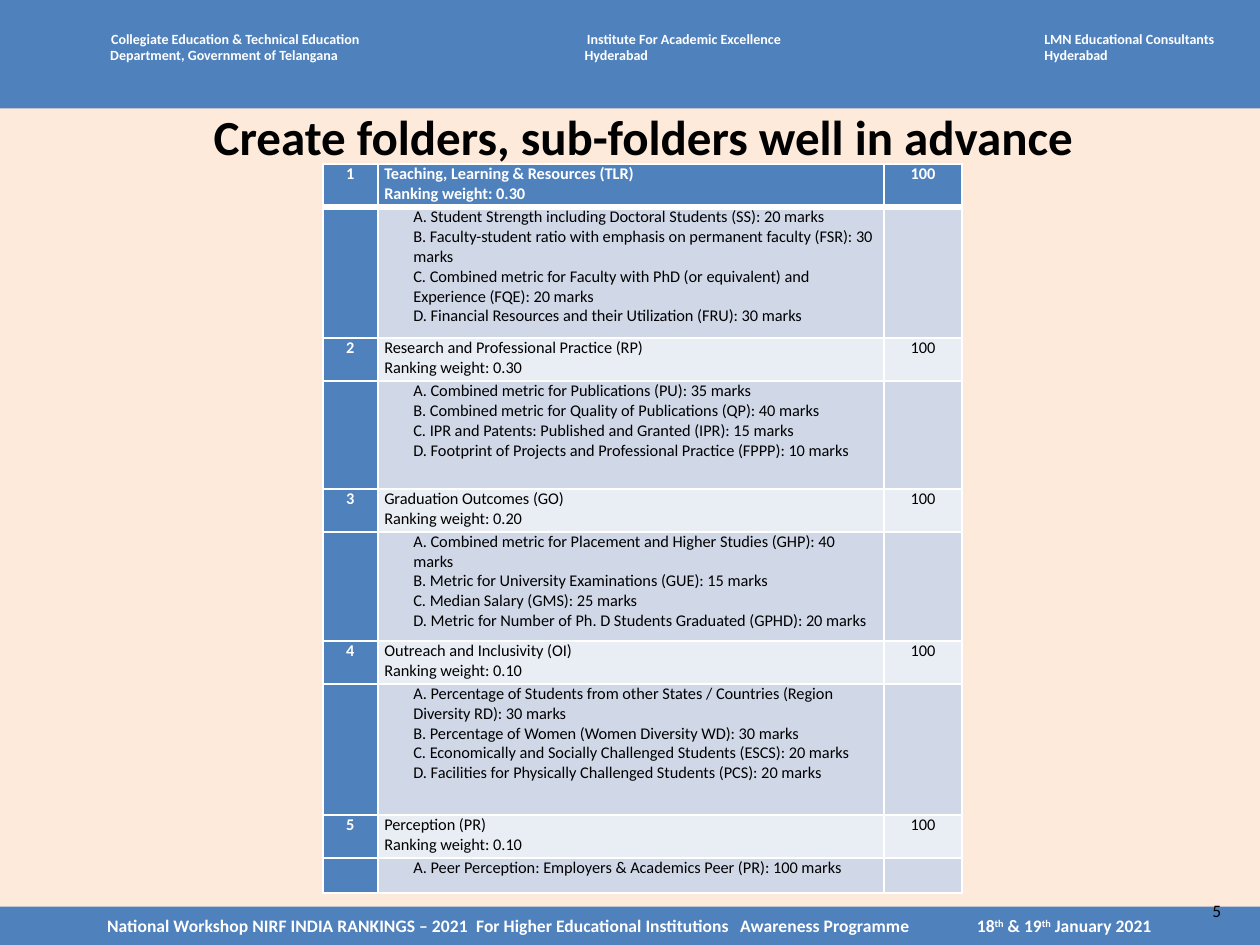
import pptx
import pptx.util
import pptx.dml.color
import pptx.enum.shapes
import pptx.enum.text
import lxml.etree

Cm, Pt = pptx.util.Cm, pptx.util.Pt
ALIGN = pptx.enum.text.PP_ALIGN
ANCHOR = pptx.enum.text.MSO_ANCHOR
BLUE, WHITE, BLACK = "4F81BD", "FFFFFF", "000000"
CREAM, PALE, MIST = "FDEADA", "E9EDF4", "D0D8E8"
DRAWING = "http://schemas.openxmlformats.org/drawingml/2006/main"

SECTIONS = [
    ("Teaching, Learning & Resources (TLR)", "0.30", 1.98, [
        "A. Student Strength including Doctoral Students (SS): 20 marks",
        "B. Faculty-student ratio with emphasis on permanent faculty (FSR): 30 marks",
        "C. Combined metric for Faculty with PhD (or equivalent) and Experience (FQE): 20 marks",
        "D. Financial Resources and their Utilization (FRU): 30 marks"]),
    ("Research and Professional Practice (RP)", "0.30", 1.63, [
        "A. Combined metric for Publications (PU): 35 marks",
        "B. Combined metric for Quality of Publications (QP): 40 marks",
        "C. IPR and Patents: Published and Granted (IPR): 15 marks",
        "D. Footprint of Projects and Professional Practice (FPPP): 10 marks"]),
    ("Graduation Outcomes (GO)", "0.20", 1.65, [
        "A. Combined metric for Placement and Higher Studies (GHP): 40 marks",
        "B. Metric for University Examinations (GUE): 15 marks",
        "C. Median Salary (GMS): 25 marks",
        "D. Metric for Number of Ph. D Students Graduated (GPHD): 20 marks"]),
    ("Outreach and Inclusivity (OI)", "0.10", 1.98, [
        "A. Percentage of Students from other States / Countries (Region Diversity RD): 30 marks",
        "B. Percentage of Women (Women Diversity WD): 30 marks",
        "C. Economically and Socially Challenged Students (ESCS): 20 marks",
        "D. Facilities for Physically Challenged Students (PCS): 20 marks"]),
    ("Perception (PR)", "0.10", 0.53, [
        "A. Peer Perception: Employers & Academics Peer (PR): 100 marks"]),
]


def color(value):
    """Turn a hex string into a colour."""
    return pptx.dml.color.RGBColor.from_string(value)


def paint(target, value):
    """Fill a shape, cell or background with one colour."""
    target.fill.solid()
    target.fill.fore_color.rgb = color(value)


def element(parent, name, **attributes):
    """Append a drawing element to a parent."""
    return lxml.etree.SubElement(parent, f"{{{DRAWING}}}{name}", attributes)


def style(para, size, value, bold=False, align=ALIGN.LEFT):
    """Set the font and alignment of a paragraph."""
    para.alignment = align
    para.font.name = "Calibri"
    para.font.size = Pt(size)
    para.font.bold = bold
    para.font.color.rgb = color(value)


def add_bar(slide, left, top, width, height):
    """Draw a plain blue bar."""
    bar = slide.shapes.add_shape(
        pptx.enum.shapes.MSO_SHAPE.RECTANGLE, Cm(left), Cm(top), Cm(width), Cm(height))
    bar.shadow.inherit = False
    paint(bar, BLUE)
    bar.line.fill.background()
    return bar


def add_text(slide, left, top, width, height, lines, size, value, bold=False,
             aligns=(ALIGN.LEFT, ALIGN.LEFT), wrap=True):
    """Place a text box with one paragraph per line."""
    box = slide.shapes.add_textbox(Cm(left), Cm(top), Cm(width), Cm(height))
    frame = box.text_frame
    frame.word_wrap = wrap
    frame.text = "\n".join(lines)
    for para, align in zip(frame.paragraphs, aligns):
        style(para, size, value, bold, align)
    return box


def add_header(slide, left, top, width, height):
    """Draw the top bar with its three organisers."""
    add_bar(slide, left, top, width, height)
    organisers = [
        (1.37, 4.42, "Collegiate Education & Technical Education ",
         " Department, Government of Telangana", ALIGN.CENTER, False),
        (8.59, 3.5, "Institute For Academic Excellence", "Hyderabad", ALIGN.CENTER, False),
        (15.54, 3.18, "LMN Educational Consultants", "Hyderabad", ALIGN.LEFT, True),
    ]
    for offset, span, name, place, align, wrap in organisers:
        add_text(slide, left + offset, top + 0.33, span, 0.77, [name, place], 6, WHITE,
                 True, (align, ALIGN.LEFT), wrap)


def add_footer(slide, left, top, width, height):
    """Draw the bottom bar with the event, its dates and the page number."""
    bar = add_bar(slide, left, top, width, height)
    frame = bar.text_frame
    frame.word_wrap = True
    frame.vertical_anchor = ANCHOR.MIDDLE
    frame.margin_left = Cm(1.62)
    frame.margin_right = frame.margin_top = frame.margin_bottom = 0
    para = frame.paragraphs[0]
    event = ("National Workshop NIRF INDIA RANKINGS – 2021\tFor Higher Educational Institutions"
             "\tAwareness Programme\t18")
    for text, raised in [(event, False), ("th", True), (" & 19", False), ("th", True),
                         (" January 2021", False)]:
        span = para.add_run()
        span.text = text
        if raised:
            span._r.get_or_add_rPr().set("baseline", "30000")
    properties = para._p.get_or_add_pPr()
    stops = element(properties, "tabLst")
    for position in (5.58, 9.57, 13.15):
        element(stops, "tab", pos=str(Cm(position)), algn="l")
    style(para, 7.5, WHITE, True)
    add_text(slide, left + 18.08, top - 0.23, 0.97, 0.58, ["5"], 7.5, BLACK)


def fill_cell(cell, lines, fill, value, bold, align, indent, bottom):
    """Write, colour and border one table cell."""
    properties = cell._tc.get_or_add_tcPr()
    for side, weight in (("lnL", 1), ("lnR", 1), ("lnT", 1), ("lnB", bottom)):
        edge = element(properties, side, w=str(Pt(weight)))
        element(element(edge, "solidFill"), "srgbClr", val=WHITE)
    paint(cell, fill)
    cell.margin_left = cell.margin_right = Cm(0.1)
    cell.margin_top = cell.margin_bottom = 0
    cell.text_frame.text = "\n".join(lines)
    for para in cell.text_frame.paragraphs:
        style(para, 7, value, bold, align)
        if indent:
            para._p.get_or_add_pPr().set("marL", str(Cm(indent)))
        if not lines:
            element(para._p, "endParaRPr", sz="700")


def add_criteria(slide, left, top, widths, heading_height):
    """Build the ranking table, a heading row and a detail row per section."""
    heights = [h for section in SECTIONS for h in (heading_height, section[2])]
    table = slide.shapes.add_table(
        len(heights), len(widths), Cm(left), Cm(top), Cm(sum(widths)), Cm(sum(heights))).table
    table.first_row = table.horz_banding = False
    for column, width in zip(table.columns, widths):
        column.width = Cm(width)
    for row, height in zip(table.rows, heights):
        row.height = Cm(height)
    for index, (name, weight, _, details) in enumerate(SECTIONS):
        first = index == 0
        heading = [[str(index + 1)], [name, f"Ranking weight: {weight}"], ["100"]]
        for offset, contents in enumerate((heading, [[], details, []])):
            for column, lines in enumerate(contents):
                strong = column == 0 or (first and offset == 0)
                fill = BLUE if strong else (PALE, MIST)[offset]
                fill_cell(table.cell(2 * index + offset, column), lines, fill,
                          WHITE if strong else BLACK, strong,
                          ALIGN.LEFT if column == 1 else ALIGN.CENTER,
                          0.44 if offset and column == 1 else 0,
                          3 if first and offset == 0 else 1)


def main():
    """Build and save the deck."""
    deck = pptx.Presentation()
    deck.slide_width, deck.slide_height = Cm(19.05), Cm(14.29)
    slide = deck.slides.add_slide(deck.slide_layouts[6])
    paint(slide.background, CREAM)
    add_header(slide, 0, 0, 19.05, 1.64)
    add_footer(slide, 0, 13.71, 19.05, 0.58)
    title = add_text(slide, 0.84, 1.52, 17.78, 1.07,
                     ["Create folders, sub-folders well in advance"], 21, BLACK, True,
                     (ALIGN.CENTER,))
    title.text_frame.vertical_anchor = ANCHOR.MIDDLE
    add_criteria(slide, 4.88, 2.48, (0.83, 7.65, 1.19), 0.65)
    deck.save("out.pptx")


if __name__ == "__main__":
    main()
